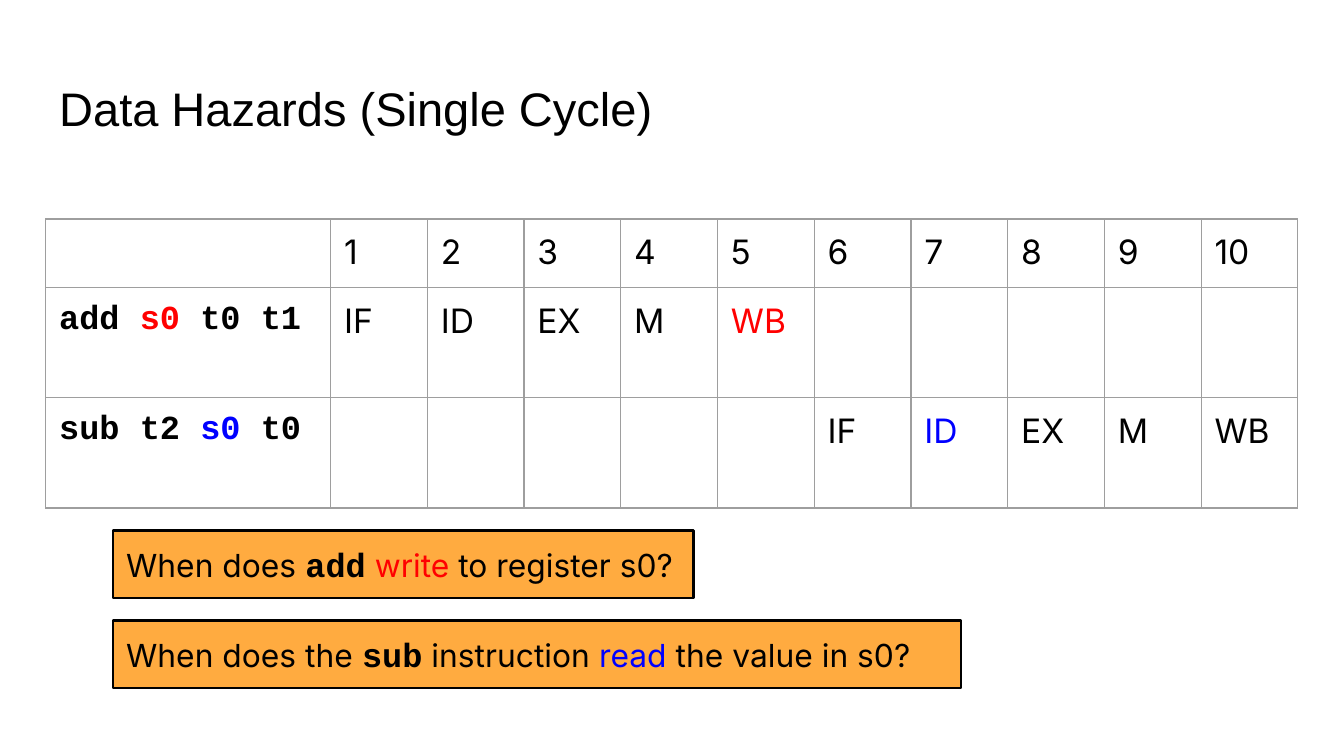
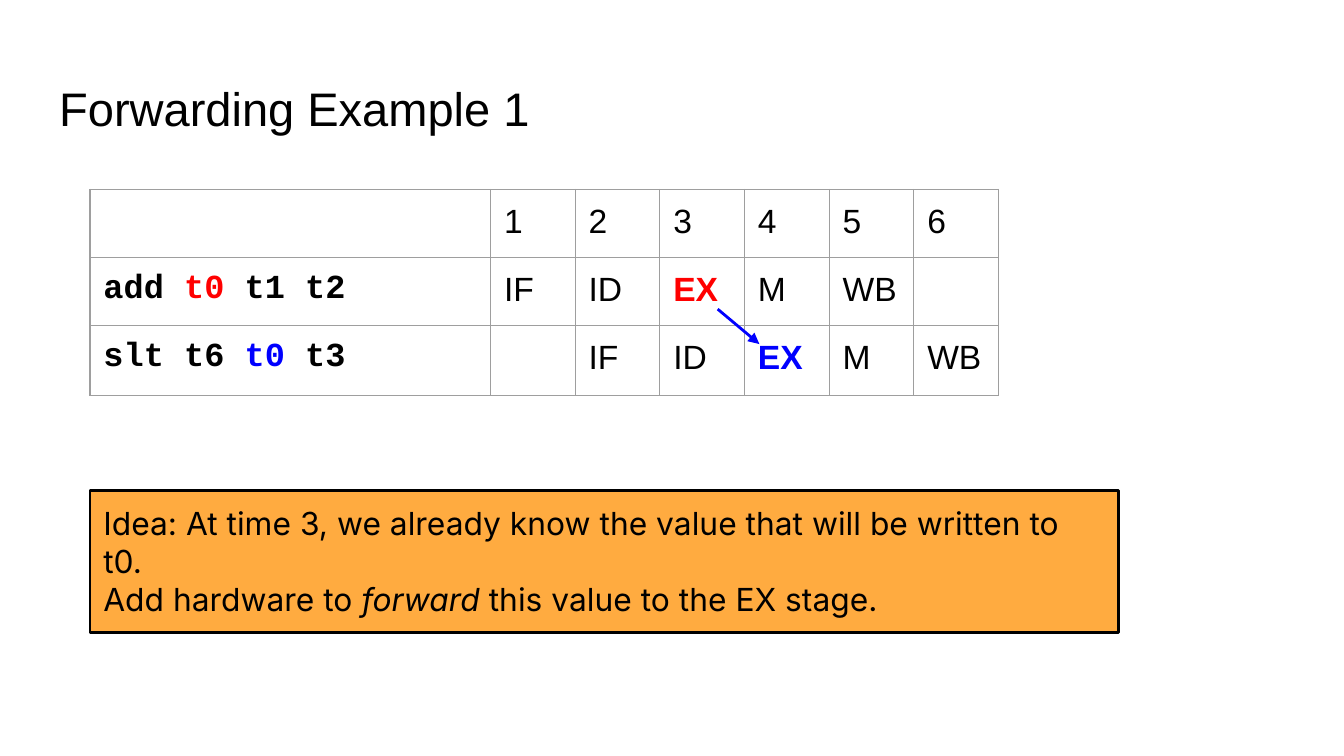
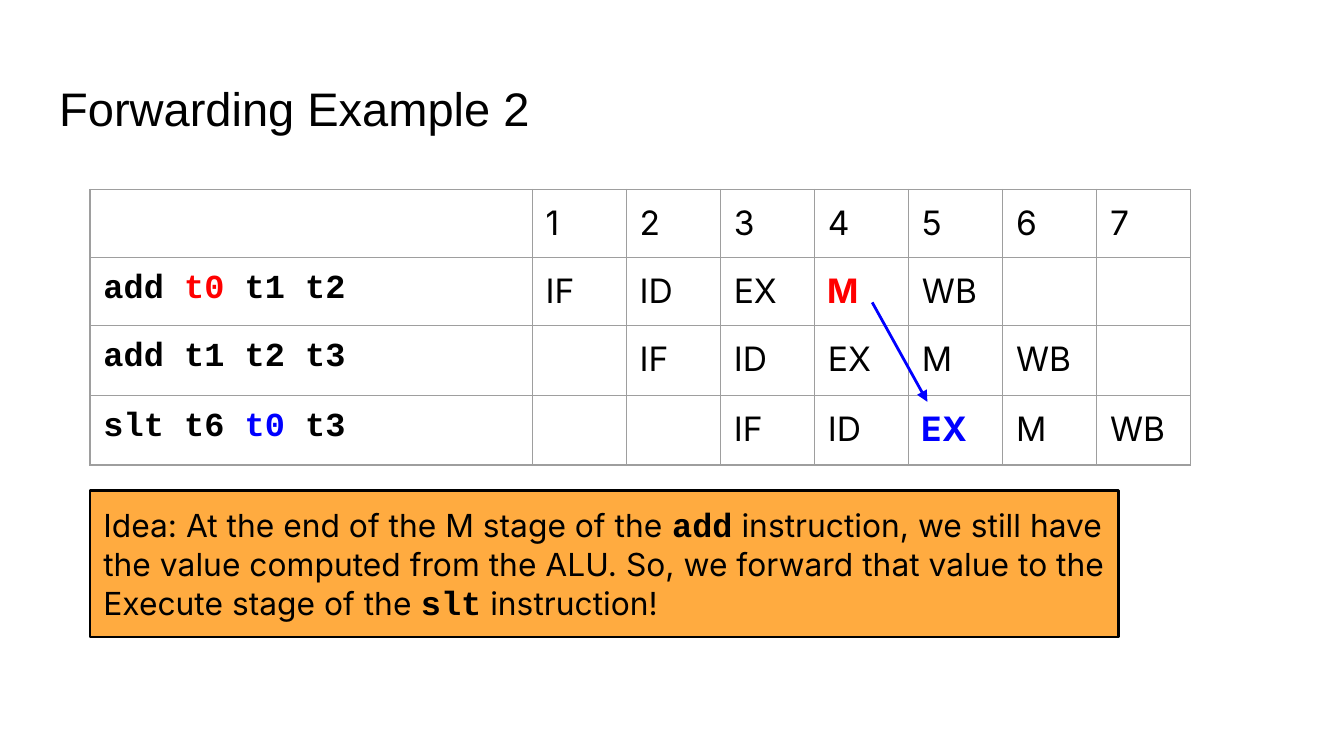
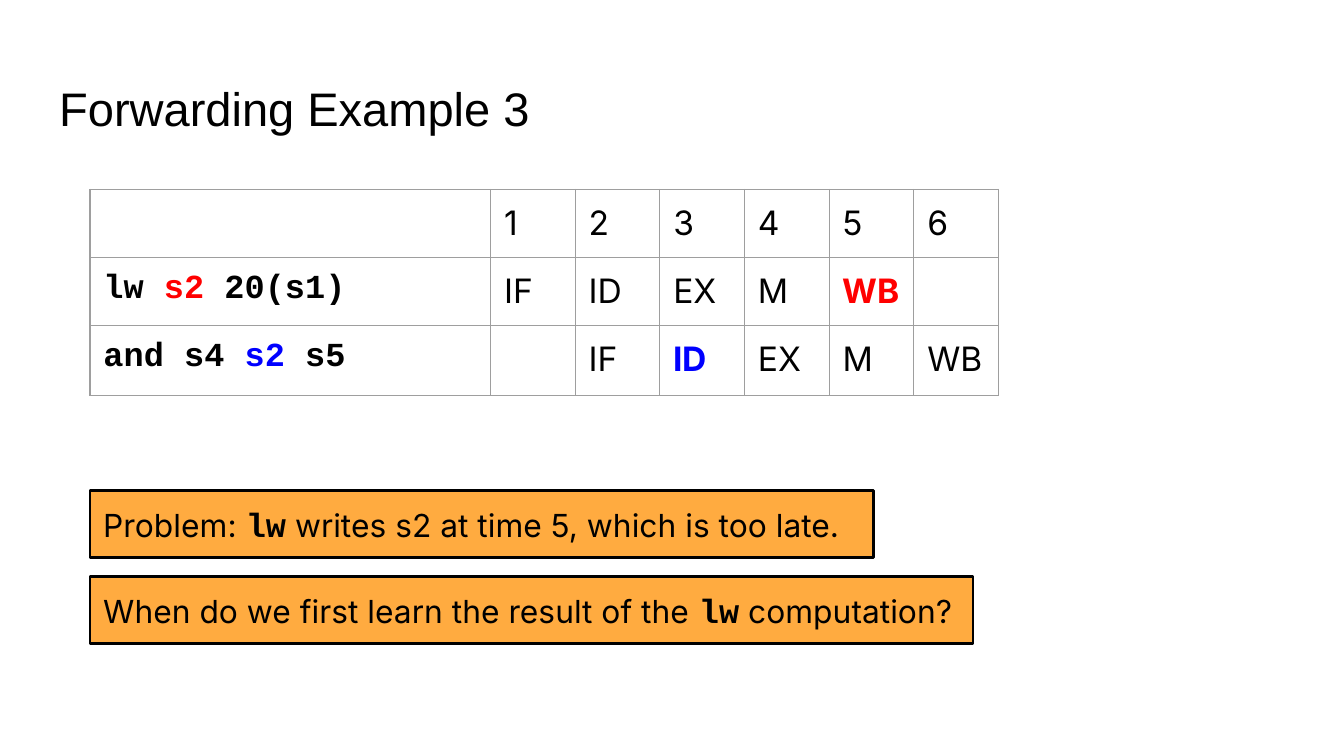
from lxml import etree
from pptx import Presentation
from pptx import util as u
from pptx.dml.color import RGBColor
from pptx.enum import shapes, text
from pptx.oxml import ns

BLACK = RGBColor(0x00, 0x00, 0x00)
WHITE = RGBColor(0xFF, 0xFF, 0xFF)
RED = RGBColor(0xFF, 0x00, 0x00)
BLUE = RGBColor(0x00, 0x00, 0xFF)
ORANGE = RGBColor(0xFF, 0xAB, 0x40)
BORDER = RGBColor(0x9E, 0x9E, 0x9E)

STAGES = ["IF", "ID", "EX", "M", "WB"]
STYLES = {
    "plain": ("Inter", 17, False, False, BLACK),
    "italic": ("Inter", 17, False, True, BLACK),
    "write": ("Inter", 17, False, False, RED),
    "read": ("Inter", 17, False, False, BLUE),
    "space": ("Arial", 18, False, False, BLACK),
    "code": ("Courier New", 18, True, False, BLACK),
    "code write": ("Courier New", 18, True, False, RED),
    "code read": ("Courier New", 18, True, False, BLUE),
}

SLIDES = [
    {
        "title": "Data Hazards (Single Cycle)",
        "left": 0.34, "top": 1.63, "font": "Inter", "bold_marks": False,
        "code_width": 2.12, "cycle_width": 0.72, "cycles": 10,
        "heights": [0.51, 0.82, 0.82],
        "instructions": [
            ([("add ", "code"), ("s0", "code write"), (" t0 t1", "code")], 1, {"WB": RED}),
            ([("sub t2 ", "code"), ("s0", "code read"), (" t0", "code")], 6, {"ID": BLUE}),
        ],
        "arrow": None,
        "notes": [
            (0.84, 3.95, 4.32, 0.5, [[
                ("When does ", "plain"), ("add", "code"), (" ", "plain"), ("write", "write"),
                (" to register s0?", "plain")]]),
            (0.84, 4.62, 6.31, 0.5, [[
                ("When does the ", "plain"), ("sub", "code"), (" instruction ", "plain"),
                ("read", "read"), (" the value in s0?", "plain")]]),
        ],
    },
    {
        "title": "Forwarding Example 1",
        "left": 0.67, "top": 1.41, "font": "Arial", "bold_marks": True,
        "code_width": 2.98, "cycle_width": 0.63, "cycles": 6,
        "heights": [0.5, 0.19, 0.52],
        "instructions": [
            ([("add ", "code"), ("t0", "code write"), (" t1 t2", "code")], 1, {"EX": RED}),
            ([("slt t6 ", "code"), ("t0", "code read"), (" t3", "code")], 2, {"EX": BLUE}),
        ],
        "arrow": (5.34, 2.3, 5.65, 2.56),
        "notes": [
            (0.67, 3.65, 7.65, 1.06, [
                [("Idea: At time 3, we already know the value that will be written to t0.", "plain")],
                [("Add hardware to ", "plain"), ("forward", "italic"),
                 (" this value to the EX stage.", "plain")]]),
        ],
    },
    {
        "title": "Forwarding Example 2",
        "left": 0.67, "top": 1.41, "font": "Inter", "bold_marks": True,
        "code_width": 3.29, "cycle_width": 0.7, "cycles": 7,
        "heights": [0.5, 0.19, 0.52, 0.52],
        "instructions": [
            ([("add ", "code"), ("t0", "code write"), (" t1 t2", "code")], 1, {"M": RED}),
            ([("add t1 t2 t3", "code")], 2, {}),
            ([("slt t6 ", "code"), ("t0", "code read"), (" t3", "code")], 3, {"EX": BLUE}),
        ],
        "arrow": (6.49, 2.25, 6.9, 2.99),
        "notes": [
            (0.67, 3.65, 7.65, 1.09, [[
                ("Idea: At the end of the M stage of the ", "plain"), ("add", "code"),
                (" instruction, we still have the value computed from the ALU. "
                 "So, we forward that value to the Execute stage of the ", "plain"),
                ("slt", "code"), (" instruction!", "plain")]]),
        ],
    },
    {
        "title": "Forwarding Example 3",
        "left": 0.67, "top": 1.41, "font": "Inter", "bold_marks": True,
        "code_width": 2.98, "cycle_width": 0.63, "cycles": 6,
        "heights": [0.5, 0.19, 0.52],
        "instructions": [
            ([("lw ", "code"), ("s2", "code write"), (" 20(s1)", "code")], 1, {"WB": RED}),
            ([("and s4 ", "code"), ("s2", "code read"), (" s5", "code")], 2, {"ID": BLUE}),
        ],
        "arrow": None,
        "notes": [
            (0.67, 3.65, 5.83, 0.5, [[
                ("Problem: ", "plain"), ("lw", "code"),
                (" writes s2 at time 5, which is too late.", "plain")]]),
            (0.67, 4.29, 6.57, 0.5, [[
                ("When do we first learn the result of the", "plain"), (" ", "space"),
                ("lw", "code"), (" computation?", "plain")]]),
        ],
    },
]


def add_run(paragraph, words, style):
    run = paragraph.add_run()
    run.text = words
    name, size, bold, italic, color = style
    run.font.name = name
    run.font.size = u.Pt(size)
    run.font.bold = bold
    run.font.italic = italic
    run.font.color.rgb = color


def set_margins(holder):
    for side in ("left", "top", "right", "bottom"):
        setattr(holder, "margin_" + side, u.Inches(0.1))


presentation = Presentation()
presentation.slide_width = u.Inches(10)
presentation.slide_height = u.Inches(10 * 9 / 16)

for content in SLIDES:
    slide = presentation.slides.add_slide(presentation.slide_layouts[5])
    slide.background.fill.solid()
    slide.background.fill.fore_color.rgb = WHITE

    title = slide.shapes.title
    title.left, title.top = u.Inches(0.34), u.Inches(0.49)
    title.width, title.height = u.Inches(9.32), u.Inches(0.63)
    frame = title.text_frame
    set_margins(frame)
    frame.auto_size = text.MSO_AUTO_SIZE.NONE
    frame.vertical_anchor = text.MSO_ANCHOR.TOP
    frame.paragraphs[0].alignment = text.PP_ALIGN.LEFT
    add_run(frame.paragraphs[0], content["title"], ("Arial", 25.2, False, False, BLACK))

    cycles, heights = content["cycles"], content["heights"]
    table_width = content["code_width"] + cycles * content["cycle_width"]
    table = slide.shapes.add_table(
        len(heights), cycles + 1, u.Inches(content["left"]), u.Inches(content["top"]),
        u.Inches(table_width), u.Inches(sum(heights))).table
    table.first_row = False
    table.horz_banding = False
    for row, height in zip(table.rows, heights):
        row.height = u.Inches(height)
    for index, column in enumerate(table.columns):
        column.width = u.Inches(content["cycle_width" if index else "code_width"])
    for cell in table.iter_cells():
        set_margins(cell)
        properties = cell._tc.get_or_add_tcPr()
        for side in ("lnL", "lnR", "lnT", "lnB"):
            line = etree.SubElement(properties, ns.qn("a:" + side), w=str(u.Pt(0.75)))
            fill = etree.SubElement(line, ns.qn("a:solidFill"))
            etree.SubElement(fill, ns.qn("a:srgbClr"), val=str(BORDER))
        cell.fill.background()

    stage_font = content["font"]
    for cycle in range(1, cycles + 1):
        paragraph = table.cell(0, cycle).text_frame.paragraphs[0]
        add_run(paragraph, str(cycle), (stage_font, 18, False, False, BLACK))
    for row, (code, start, marks) in enumerate(content["instructions"], 1):
        for words, style in code:
            add_run(table.cell(row, 0).text_frame.paragraphs[0], words, STYLES[style])
        for cycle, stage in enumerate(STAGES, start):
            bold = content["bold_marks"] and stage in marks
            paragraph = table.cell(row, cycle).text_frame.paragraphs[0]
            add_run(paragraph, stage, (stage_font, 18, bold, False, marks.get(stage, BLACK)))

    if content["arrow"]:
        arrow = slide.shapes.add_connector(
            shapes.MSO_CONNECTOR.STRAIGHT, *[u.Inches(value) for value in content["arrow"]])
        arrow.line.color.rgb = BLUE
        arrow.line.width = u.Pt(1.5)
        etree.SubElement(arrow.line._get_or_add_ln(), ns.qn("a:tailEnd"), type="triangle")
        etree.SubElement(arrow._element.spPr, ns.qn("a:effectLst"))

    for *box, paragraphs in content["notes"]:
        note = slide.shapes.add_shape(
            shapes.MSO_SHAPE.RECTANGLE, *[u.Inches(value) for value in box])
        note.shadow.inherit = False
        note.fill.solid()
        note.fill.fore_color.rgb = ORANGE
        note.line.color.rgb = BLACK
        note.line.width = u.Pt(1.5)
        frame = note.text_frame
        set_margins(frame)
        frame.word_wrap = True
        frame.auto_size = text.MSO_AUTO_SIZE.SHAPE_TO_FIT_TEXT
        frame.vertical_anchor = text.MSO_ANCHOR.TOP
        for index, runs in enumerate(paragraphs):
            paragraph = frame.add_paragraph() if index else frame.paragraphs[0]
            paragraph.alignment = text.PP_ALIGN.LEFT
            for words, style in runs:
                add_run(paragraph, words, STYLES[style])

presentation.save("out.pptx")
